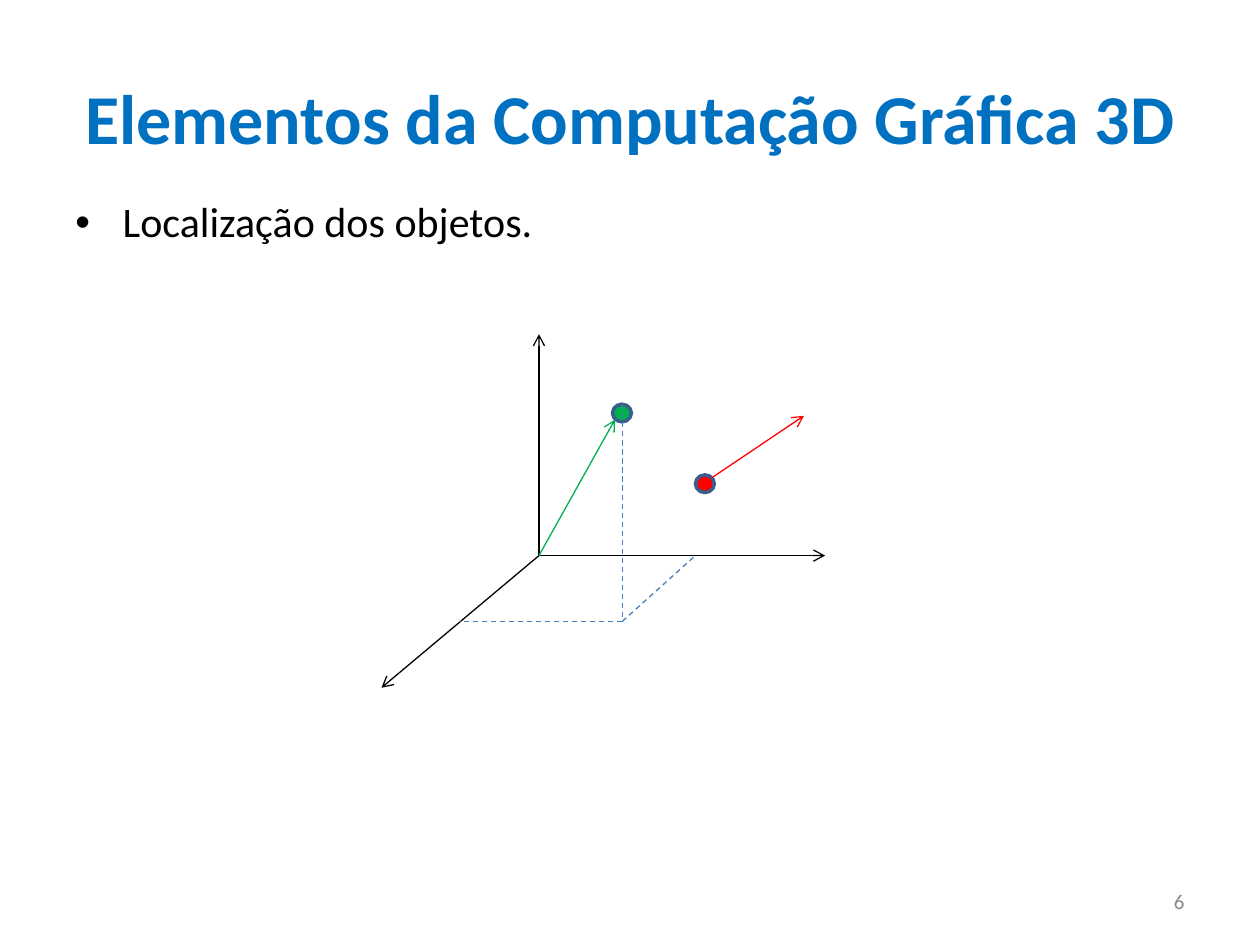
import pptx
import pptx.util
import pptx.dml.color
import pptx.enum.dml
import pptx.enum.shapes
import pptx.enum.text
import pptx.oxml.ns
from lxml import etree

Pt = pptx.util.Pt
ALIGN = pptx.enum.text.PP_ALIGN
ANCHOR = pptx.enum.text.MSO_ANCHOR
COLORS = {"title": "0070C0", "text": "000000", "number": "898989",
          "axis": "000000", "green": "00B050", "red": "FF0000",
          "outline": "3A5F8C", "guide": "4B7EBC"}


def rgb(name):
    return pptx.dml.color.RGBColor.from_string(COLORS[name])


def add_xml(parent, tag, **attrs):
    el = etree.SubElement(parent, pptx.oxml.ns.qn(tag))
    for key, value in attrs.items():
        el.set(key, value)
    return el


def place(sp, box):
    for name, value in zip(("left", "top", "width", "height"), box):
        setattr(sp, name, Pt(value))


def write(sp, text, color, anchor, para, font):
    tf = sp.text_frame
    tf.word_wrap = True
    tf.vertical_anchor = anchor
    p = tf.paragraphs[0]
    for name, value in para.items():
        setattr(p, name, value)
    r = p.add_run()
    r.text = text
    for name, value in {"name": "Calibri", **font}.items():
        setattr(r.font, name, value)
    r.font.color.rgb = rgb(color)
    return p


def add_title(s, box):
    sp = s.shapes.title
    place(sp, box)
    write(sp, "Elementos da Computação Gráfica 3D", "title", ANCHOR.MIDDLE,
          {"alignment": ALIGN.CENTER}, {"size": Pt(40), "bold": True})


def add_body(s, box):
    sp = s.shapes.add_textbox(*map(Pt, box))
    p = write(sp, "Localização dos objetos.", "text", ANCHOR.TOP,
              {"line_spacing": 0.9}, {"size": Pt(24)})
    # Hanging bullet
    pPr = p._p.get_or_add_pPr()
    pPr.set("marL", str(Pt(27)))
    pPr.set("indent", str(-Pt(27)))
    add_xml(pPr, "a:buFont", typeface="Arial")
    add_xml(pPr, "a:buChar", char="•")


def add_number(s, box):
    sp = s.shapes.add_textbox(*map(Pt, box))
    write(sp, "6", "number", ANCHOR.MIDDLE,
          {"alignment": ALIGN.RIGHT}, {"size": Pt(12)})


def add_line(s, start, end, color, arrow=True):
    cx = s.shapes.add_connector(pptx.enum.shapes.MSO_CONNECTOR.STRAIGHT,
                                *map(Pt, start + end))
    cx.line.width = Pt(0.75)
    cx.line.color.rgb = rgb(color)
    if arrow:
        add_xml(cx.line._get_or_add_ln(), "a:tailEnd", type="arrow")
    else:
        cx.line.dash_style = pptx.enum.dml.MSO_LINE.DASH
    add_xml(cx._element.spPr, "a:effectLst")


def add_point(s, corner, color):
    sp = s.shapes.add_shape(pptx.enum.shapes.MSO_SHAPE.OVAL,
                            *map(Pt, corner + (10.8, 10.1)))
    sp.shadow.inherit = False
    sp.fill.solid()
    sp.fill.fore_color.rgb = rgb(color)
    sp.line.color.rgb = rgb("outline")
    sp.line.width = Pt(2)


def add_space(s, box):
    left, top, width, height = box

    def at(x, y):
        return left + x, top + y

    axis_y, guide_x, guide_y = 126.5, 137.7, 164
    origin = at(90, axis_y)
    foot = at(guide_x, guide_y)
    # Axes
    for tip in (at(90, 0), at(width, axis_y), at(0, height)):
        add_line(s, origin, tip, "axis")
    # Points and their vectors
    add_point(s, at(132, 40), "green")
    add_line(s, origin, at(133.4, 48.8), "green")
    add_point(s, at(179.4, 80.4), "red")
    add_line(s, at(188.8, 82), at(241.4, 46.6), "red")
    # Projection guides
    add_line(s, at(guide_x, 40), foot, "guide", arrow=False)
    for end in (at(44.8, guide_y), at(179.4, axis_y)):
        add_line(s, foot, end, "guide", arrow=False)


def main():
    prs = pptx.Presentation()
    prs.slide_width, prs.slide_height = Pt(720), Pt(540)
    s = prs.slides.add_slide(prs.slide_layouts[5])
    add_title(s, (36, 21.6, 648, 90))
    add_number(s, (516, 500.5, 168, 28.75))
    add_body(s, (36, 111.6, 661.7, 378))
    add_space(s, (218, 191, 253.5, 202))
    prs.save("out.pptx")


if __name__ == "__main__":
    main()
